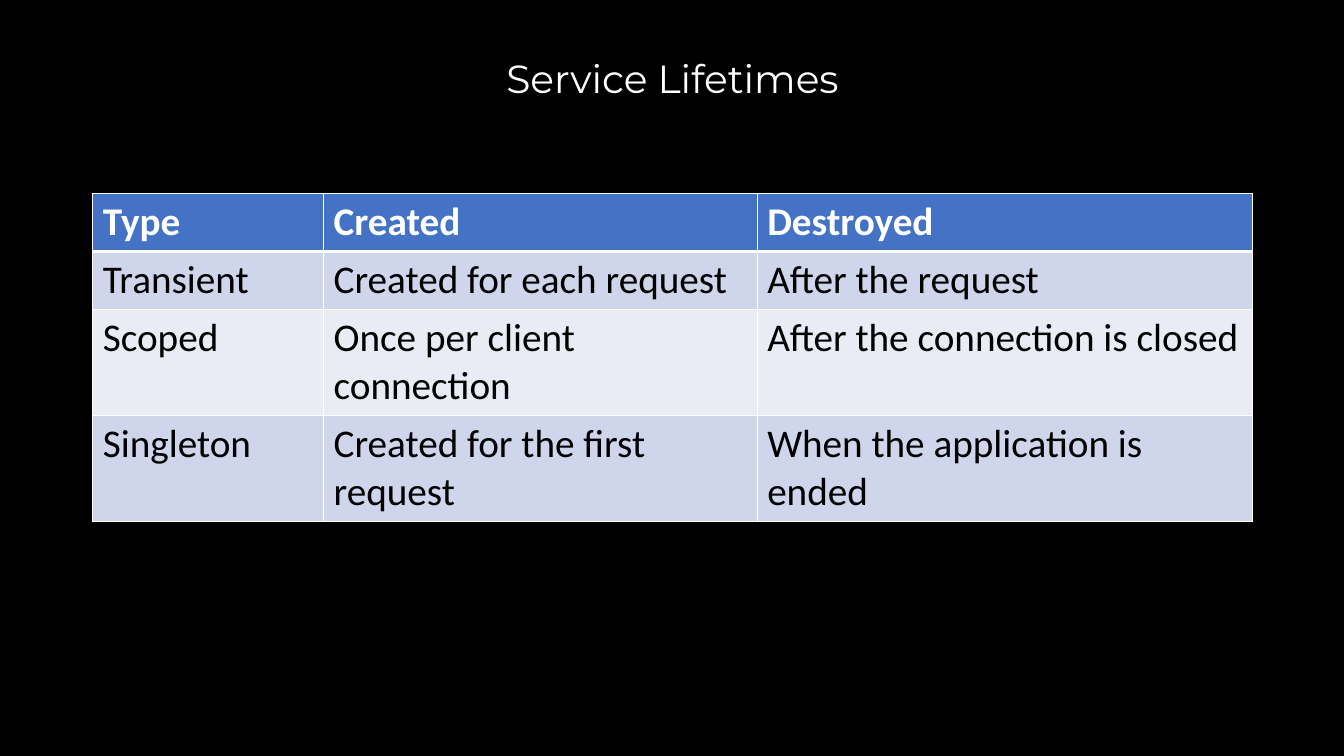
from lxml import etree
from pptx import Presentation
from pptx.dml.color import RGBColor
from pptx.enum.text import MSO_ANCHOR, PP_ALIGN
from pptx.oxml.ns import qn
from pptx.util import Inches, Pt

CENTER = PP_ALIGN.CENTER
MIDDLE = MSO_ANCHOR.MIDDLE

BLACK = RGBColor(0x00, 0x00, 0x00)
WHITE = RGBColor(0xFF, 0xFF, 0xFF)
HEADER_BLUE = RGBColor(0x44, 0x72, 0xC4)
BAND_DARK = RGBColor(0xCF, 0xD5, 0xEA)
BAND_LIGHT = RGBColor(0xE9, 0xEB, 0xF5)

TITLE_BOX = (0.92, 0.4, 11.5, 0.8)
TABLE_BOX = (0.92, 1.92, 11.5, 1.64)
COLUMN_WIDTHS = (2.29, 4.3, 4.91)
LIFETIMES = (
    ("Type", "Created", "Destroyed"),
    ("Transient", "Created for each request", "After the request"),
    ("Scoped", "Once per client connection", "After the connection is closed"),
    ("Singleton", "Created for the first request", "When the application is ended"),
)


def format_font(font, color, **values):
    for name, value in values.items():
        setattr(font, name, value)
    font.color.rgb = color


def add_title(s, box, text):
    title = s.shapes.title
    for name, value in zip(("left", "top", "width", "height"), box):
        setattr(title, name, Inches(value))
    tf = title.text_frame
    tf.text = text
    tf.word_wrap = True
    tf.vertical_anchor = MIDDLE
    p = tf.paragraphs[0]
    p.alignment = CENTER
    p.line_spacing = 0.9
    format_font(p.runs[0].font, WHITE, name="Montserrat", size=Pt(28), bold=False)


def set_borders(cell, widths):
    tc_pr = cell._tc.get_or_add_tcPr()
    for side, width in widths.items():
        line = etree.SubElement(tc_pr, qn(f"a:ln{side}"), w=str(Pt(width)))
        fill = etree.SubElement(line, qn("a:solidFill"))
        etree.SubElement(fill, qn("a:srgbClr"), val=str(WHITE))


def add_lifetime_table(s, box, widths, rows):
    frame = s.shapes.add_table(len(rows), len(widths), *map(Inches, box))
    table = frame.table
    for column, width in zip(table.columns, widths):
        column.width = Inches(width)
    for i, row in enumerate(rows):
        header = i == 0
        band = HEADER_BLUE if header else BAND_DARK if i % 2 else BAND_LIGHT
        borders = {"L": 1, "R": 1, "T": 3 if i == 1 else 1, "B": 3 if header else 1}
        for j, text in enumerate(row):
            cell = table.cell(i, j)
            cell.text = text
            set_borders(cell, borders)
            cell.fill.solid()
            cell.fill.fore_color.rgb = band
            font = cell.text_frame.paragraphs[0].runs[0].font
            format_font(font, WHITE if header else BLACK,
                        name="Calibri", size=Pt(28), bold=header)


def main():
    prs = Presentation()
    prs.slide_width = Inches(13.33)
    prs.slide_height = Inches(7.5)
    s = prs.slides.add_slide(prs.slide_layouts.get_by_name("Title Only"))
    s.background.fill.solid()
    s.background.fill.fore_color.rgb = BLACK
    add_title(s, TITLE_BOX, "Service Lifetimes")
    add_lifetime_table(s, TABLE_BOX, COLUMN_WIDTHS, LIFETIMES)
    prs.save("out.pptx")


if __name__ == "__main__":
    main()
